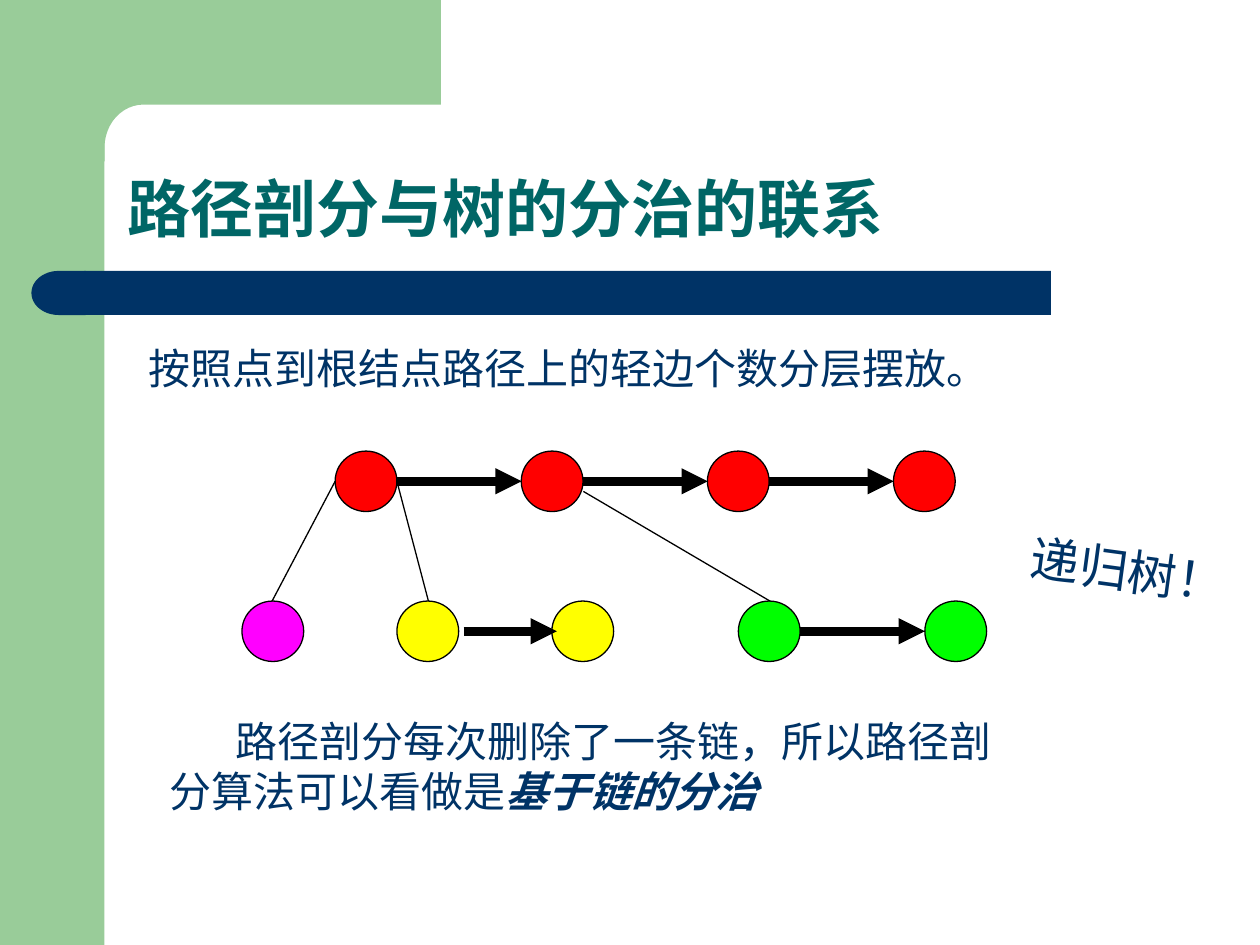
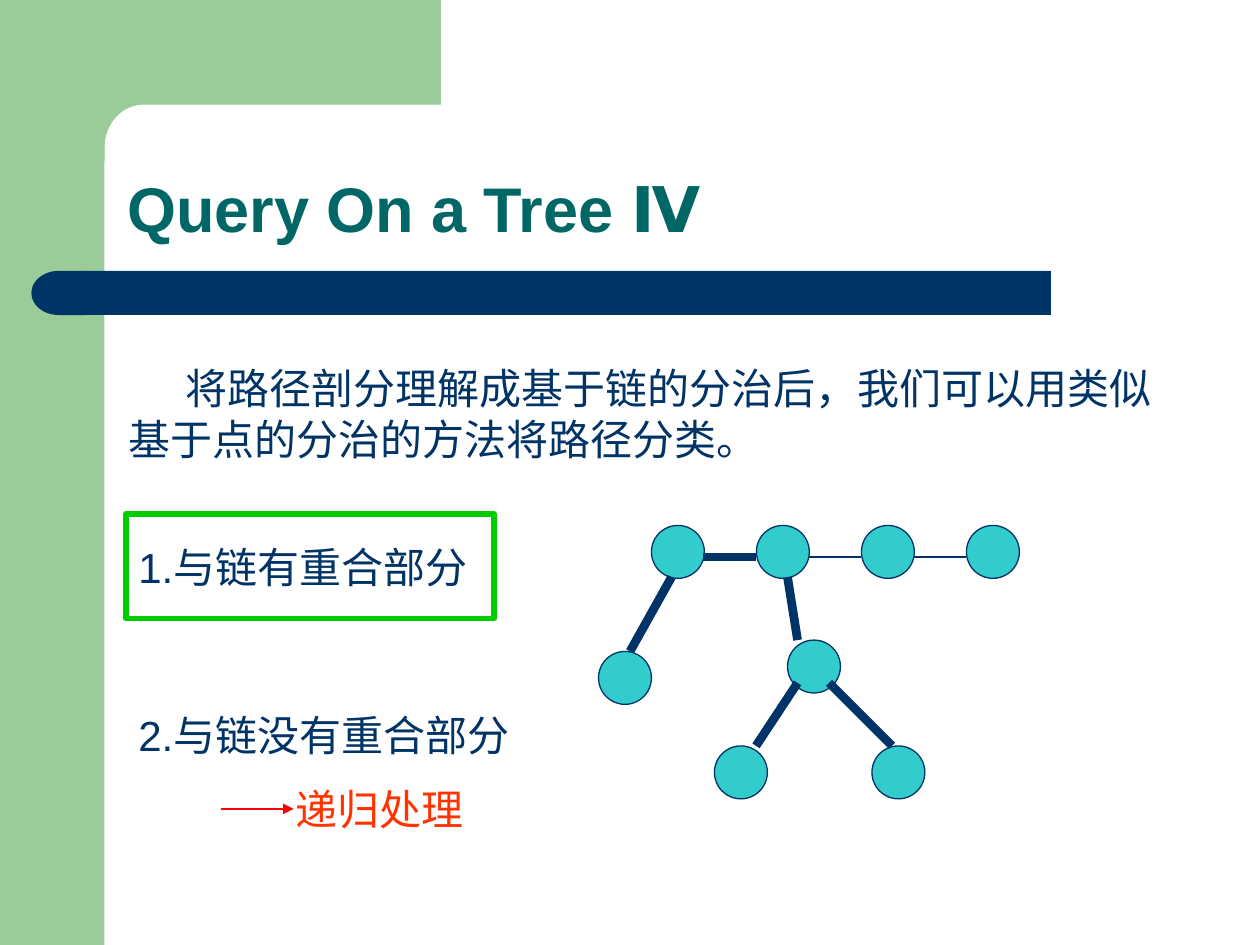
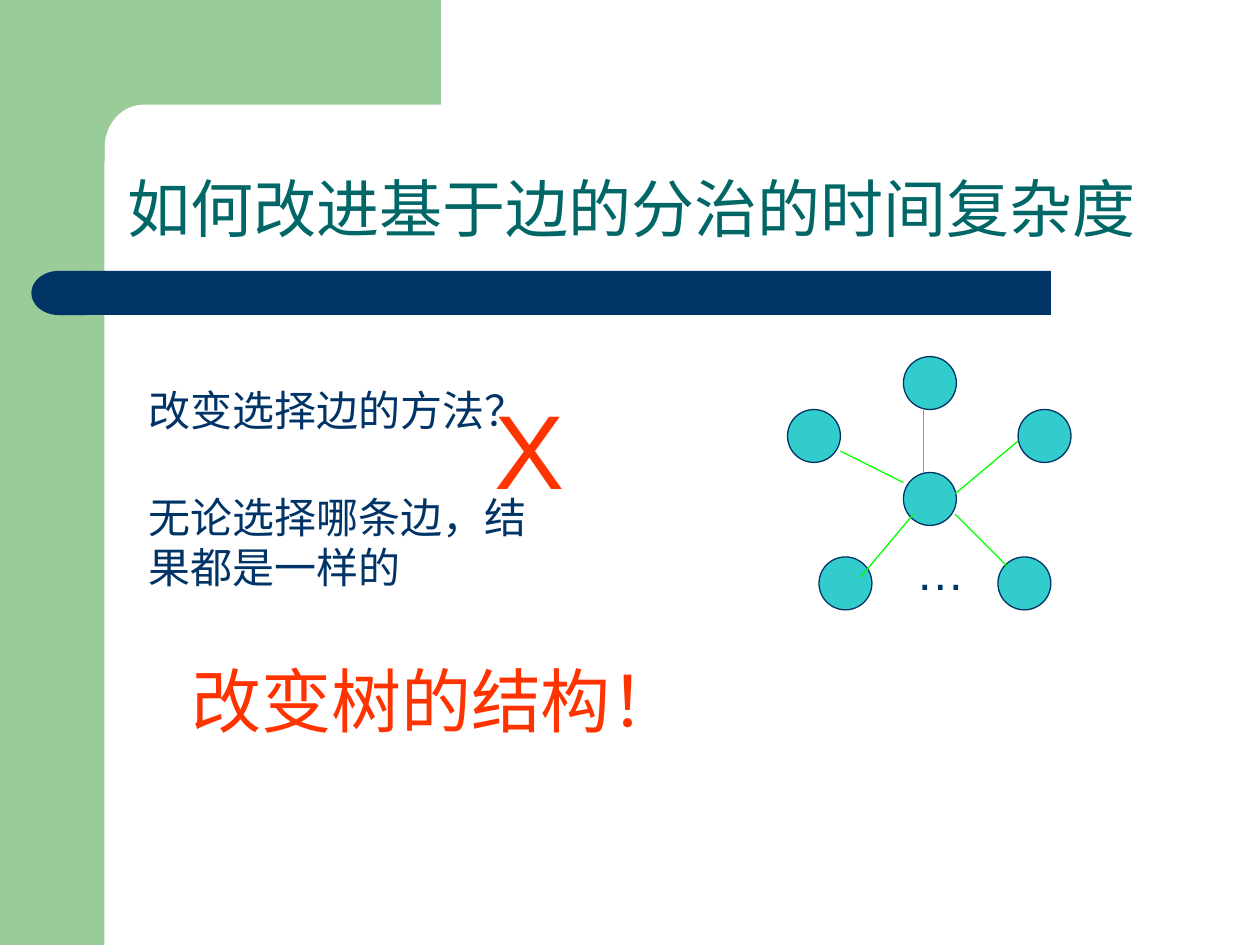
"""Build three slides on dividing a tree by chains and edges."""
from dataclasses import dataclass
from math import cos, pi, sin

from lxml.etree import SubElement
from pptx import Presentation
from pptx.dml.color import RGBColor as RGB
from pptx.enum.shapes import MSO_CONNECTOR as LINK, MSO_SHAPE as FORM
from pptx.enum.text import MSO_ANCHOR as ANCHOR, MSO_AUTO_SIZE as FIT, PP_ALIGN as ALIGN
from pptx.oxml.ns import qn
from pptx.util import Inches, Pt

HUES = {
    "leaf": "99CC99", "navy": "003366", "teal": "006666", "aqua": "33CCCC",
    "red": "FF0000", "gold": "FFFF00", "pink": "FF00FF", "lime": "00FF00",
    "green": "00CC00", "flame": "FF3300", "black": "000000",
}
FONT = "Arial"
THIN, THICK = 0.74, 4.99


@dataclass(frozen=True)
class Node:
    """A round tree node, placed by its top left corner."""
    x: float
    y: float
    fill: str = "aqua"
    line: str = "navy"
    wide: float = 0.42
    high: float = 0.42


@dataclass(frozen=True)
class Edge:
    """A straight link between two points."""
    x: float
    y: float
    to_x: float
    to_y: float
    hue: str = "navy"
    size: float = THIN
    arrow: bool = False


def tint(name: str) -> RGB:
    """Look up a colour."""
    return RGB.from_string(HUES[name])


def paint(shape, fill: str = "", line: str = "", size: float = THIN):
    """Set the fill and outline of a shape, and drop its shadow."""
    shape.shadow.inherit = False
    if fill:
        shape.fill.solid()
        shape.fill.fore_color.rgb = tint(fill)
    else:
        shape.fill.background()
    if line:
        shape.line.color.rgb = tint(line)
        shape.line.width = Pt(size)
    else:
        shape.line.fill.background()
    return shape


def place(slide, form: FORM, x: float, y: float, wide: float, high: float, **look):
    """Add a painted preset shape."""
    box = map(Inches, (x, y, wide, high))
    return paint(slide.shapes.add_shape(form, *box), **look)


def write(shape, text: str, *, size: float = 24, hue: str = "navy", bold: bool = False,
          stress: str = "", indent: float = 0, space: float = 1) -> None:
    """Write one paragraph, with an optional stressed ending."""
    para = shape.text_frame.paragraphs[0]
    para.alignment = ALIGN.LEFT
    para.line_spacing = space
    for part, strong in ((text, False), (stress, True)):
        if part:
            run = para.add_run()
            run.text = part
            font = run.font
            font.name, font.size = FONT, Pt(size)
            font.bold, font.italic = bold or strong, strong
            font.color.rgb = tint(hue)
    if indent:
        for prop in shape.element.iter(qn("a:pPr")):
            prop.set("indent", str(Inches(indent)))


def label(slide, x: float, y: float, wide: float, high: float, text: str,
          turn: float = 0, **look) -> None:
    """Add a wrapped text box."""
    box = slide.shapes.add_textbox(*map(Inches, (x, y, wide, high)))
    box.text_frame.word_wrap = True
    box.text_frame.auto_size = FIT.SHAPE_TO_FIT_TEXT
    box.rotation = turn
    write(box, text, **look)


def join(slide, edge: Edge) -> None:
    """Draw an edge as a connector."""
    ends = map(Inches, (edge.x, edge.y, edge.to_x, edge.to_y))
    link = slide.shapes.add_connector(LINK.STRAIGHT, *ends)
    link.line.color.rgb = tint(edge.hue)
    link.line.width = Pt(edge.size)
    props = link.element.find(qn("p:spPr"))
    if edge.arrow:
        SubElement(props.find(qn("a:ln")), qn("a:tailEnd"), type="triangle")
    SubElement(props, qn("a:effectLst"))


def graph(slide, nodes: list[Node], edges: list[Edge]) -> None:
    """Draw nodes, then the edges over them."""
    for node in nodes:
        place(slide, FORM.OVAL, node.x, node.y, node.wide, node.high,
              fill=node.fill, line=node.line)
    for edge in edges:
        join(slide, edge)


def start(deck, text: str, bold: bool = True):
    """Add a slide with its title."""
    slide = deck.slides.add_slide(deck.slide_layouts[5])
    head = slide.shapes.title
    head.left, head.top, head.width, head.height = map(Inches, (0.91, 0.91, 8.51, 1.09))
    head.text_frame.vertical_anchor = ANCHOR.BOTTOM
    head.text_frame.auto_size = FIT.NONE
    write(head, text, size=36, hue="teal", bold=bold, space=0.9)
    return slide


def frame(slide) -> None:
    """Draw the green corner and navy bar, and hand them to the layout."""
    side = place(slide, FORM.RECTANGLE, 0, 0, 0.83, 7.5, fill="leaf")
    turns = [pi / 2 * i / 12 for i in range(13)]
    curve = [(1.14 - 0.31 * sin(a), 1.17 - 0.34 * cos(a)) for a in turns]
    spots = [(3.5, 0), (3.5, 0.83), *curve, (0.83, 1.28), (0.5, 1.28)]
    pen = slide.shapes.build_freeform(Inches(0.5), 0)
    pen.add_line_segments([(Inches(x), Inches(y)) for x, y in spots], close=True)
    nook = paint(pen.convert_to_shape(), fill="leaf")
    bar = place(slide, FORM.RECTANGLE, 0.67, 2.15, 7.67, 0.35, fill="navy")
    cap = place(slide, FORM.FLOWCHART_DELAY, 0.25, 2.15, 0.43, 0.35, fill="navy")
    cap.element.find(qn("p:spPr")).find(qn("a:xfrm")).set("flipH", "1")
    layout = slide.slide_layout
    for item in list(layout.placeholders)[1:]:
        layout.shapes.element.remove(item.element)
    for spot, item in enumerate((side, nook, bar, cap), 2):
        layout.shapes.element.insert(spot, item.element)


def chains(slide) -> None:
    """Fill the slide on layers of chains."""
    top, low, step = 3.58, 4.77, 1.477
    places = [(2.66 + step * i, top, "red") for i in range(4)]
    places += [(1.92, low, "pink"), (3.15, low, "gold"), (4.38, low, "gold"),
               (5.86, low, "lime"), (7.34, low, "lime")]
    nodes = [Node(x, y, fill, "black", 0.49, 0.48) for x, y, fill in places]
    heavy = [(3.15 + step * i, 4.14 + step * i, top + 0.24) for i in range(3)]
    heavy += [(6.35, 7.34, low + 0.24), (3.68, 4.42, low + 0.24)]
    light = [(2.66, 3.82, 2.16), (3.15, 3.82, 3.4), (4.63, 3.9, 6.11)]
    edges = [Edge(x, y, end, y, "black", THICK, True) for x, end, y in heavy]
    edges += [Edge(x, y, end, low, "black") for x, y, end in light]
    graph(slide, nodes, edges)
    label(slide, 1.25, 5.63, 6.83, 0.9, "路径剖分每次删除了一条链，所以路径剖分算法可以看做是",
          stress="基于链的分治", indent=0.52)
    label(slide, 1.08, 2.67, 8.42, 0.5, "按照点到根结点路径上的轻边个数分层摆放。")
    label(slide, 8.08, 4.25, 1.92, 0.57, "递归树！", turn=7.7, size=28)


def query(slide) -> None:
    """Fill the slide on the two kinds of route."""
    label(slide, 0.92, 2.83, 8.42, 0.9,
          "将路径剖分理解成基于链的分治后，我们可以用类似基于点的分治的方法将路径分类。",
          indent=0.45)
    nodes = [Node(5.17 + 2.5 / 3 * i, 4.17) for i in range(4)]
    nodes += [Node(x, y) for x, y in ((4.75, 5.17), (5.67, 5.92), (6.92, 5.92), (6.25, 5.08))]
    light = [(6.42, 4.42, 6.83, 4.42), (7.25, 4.42, 7.67, 4.42)]
    heavy = [(5.33, 4.58, 5, 5.17), (5.58, 4.42, 6, 4.42), (6.25, 4.58, 6.33, 5.08),
             (6.58, 5.42, 7.08, 5.92), (6.33, 5.42, 6, 5.92)]
    edges = [Edge(*ends) for ends in light] + [Edge(*ends, size=THICK) for ends in heavy]
    graph(slide, nodes, edges)
    label(slide, 1, 4.25, 3.17, 0.5, "1.与链有重合部分")
    label(slide, 1, 5.58, 4.25, 0.5, "2.与链没有重合部分")
    place(slide, FORM.RECTANGLE, 1, 4.08, 2.92, 0.83, line="green", size=3)
    label(slide, 2.25, 6.17, 2.25, 0.5, "递归处理", hue="flame")
    join(slide, Edge(1.75, 6.42, 2.33, 6.42, "red", 1.5, True))


def star(slide) -> None:
    """Fill the slide on the star tree."""
    spots = [(7.17, 3.75), (6.25, 3.25), (7.17, 2.83), (8.08, 3.25), (6.5, 4.42), (7.92, 4.42)]
    rays = [(7.33, 3.75, 7.33, 3.25), (7.17, 3.83, 6.67, 3.58), (7.58, 3.92, 8.08, 3.5),
            (7.25, 4.08, 6.83, 4.58), (7.58, 4.08, 8, 4.5)]
    graph(slide, [Node(*spot) for spot in spots], [Edge(*ray, hue="lime") for ray in rays])
    label(slide, 7.17, 4.25, 0.67, 0.57, "…", size=28)
    label(slide, 1.08, 3, 5, 0.5, "改变选择边的方法？")
    label(slide, 3.83, 3, 0.75, 1.1, "X", size=60, hue="flame")
    label(slide, 1.42, 5.17, 5.92, 0.77, "改变树的结构！", size=40, hue="flame")
    label(slide, 1.08, 3.85, 3.42, 0.9, "无论选择哪条边，结果都是一样的")


def main() -> None:
    """Build and save the deck."""
    deck = Presentation()
    deck.slide_width, deck.slide_height = Inches(10), Inches(7.5)
    first = start(deck, "路径剖分与树的分治的联系")
    frame(first)
    chains(first)
    query(start(deck, "Query On a Tree Ⅳ"))
    star(start(deck, "如何改进基于边的分治的时间复杂度", bold=False))
    deck.save("out.pptx")


main()
